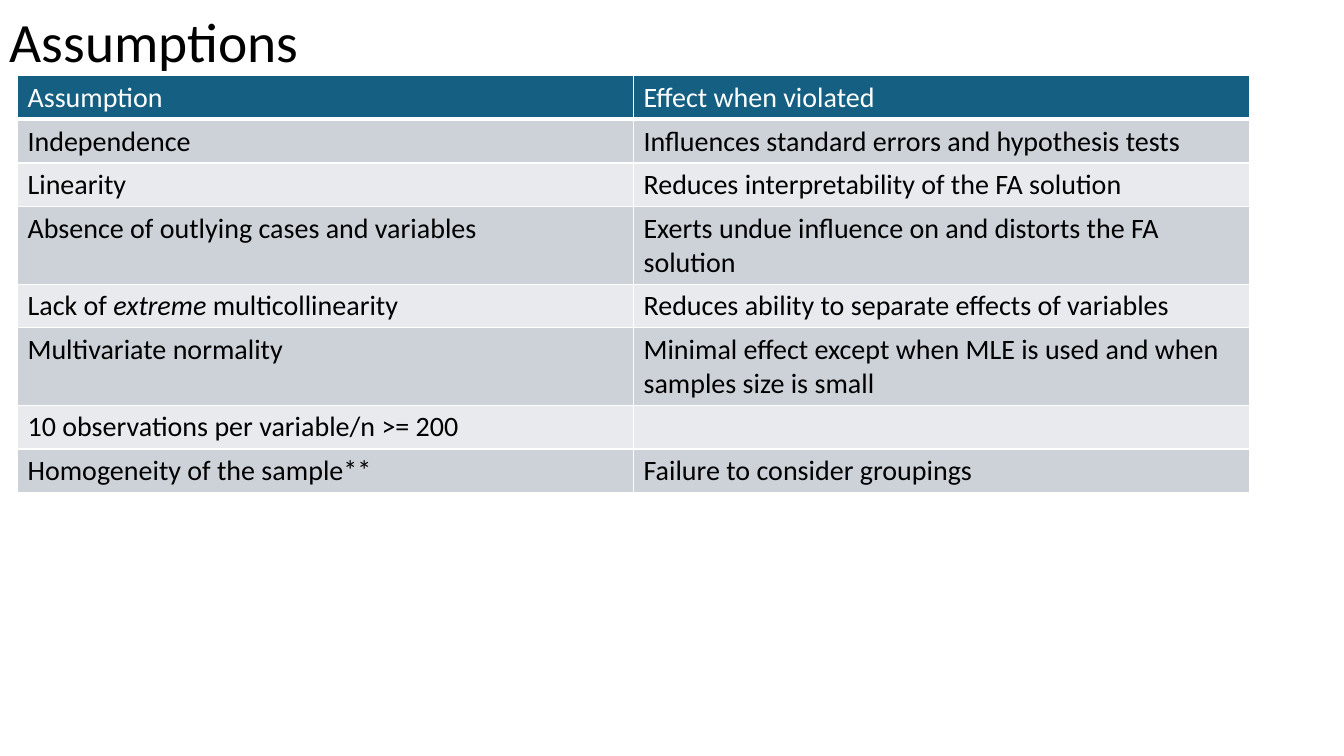
from dataclasses import dataclass

from lxml.etree import SubElement
from pptx import Presentation
from pptx.dml.color import RGBColor
from pptx.enum.text import MSO_ANCHOR
from pptx.oxml.ns import qn
from pptx.slide import Slide
from pptx.table import _Cell
from pptx.text.text import _Paragraph
from pptx.util import Pt

COLORS = {
    "text": "000000",
    "header text": "FFFFFF",
    "header": "156082",
    "dark band": "CCD2D8",
    "light band": "E8EAED",
    "border": "FFFFFF",
}
BORDER_WIDTH = 1
HEADER_RULE_WIDTH = 3
ROW_HEIGHT = 29.7
COLUMN_WIDTH = 440


@dataclass(frozen=True)
class Run:
    text: str
    italic: bool = False


@dataclass(frozen=True)
class AssumptionRow:
    assumption: tuple[Run, ...]
    effect: tuple[Run, ...] = ()


def plain(assumption: str, effect: str = "") -> AssumptionRow:
    """Return a row without emphasis; an empty effect gives an empty cell."""
    return AssumptionRow((Run(assumption),), (Run(effect),) if effect else ())


ROWS = (
    plain("Assumption", "Effect when violated"),
    plain("Independence", "Influences standard errors and hypothesis tests"),
    plain("Linearity", "Reduces interpretability of the FA solution"),
    plain("Absence of outlying cases and variables",
          "Exerts undue influence on and distorts the FA solution"),
    AssumptionRow(
        (Run("Lack of "), Run("extreme ", italic=True), Run("multicollinearity")),
        (Run("Reduces ability to separate effects of variables"),),
    ),
    plain("Multivariate normality",
          "Minimal effect except when MLE is used and when samples size is small"),
    plain("10 observations per variable/n >= 200"),
    plain("Homogeneity of the sample**", "Failure to consider groupings"),
)


def color(name: str) -> RGBColor:
    return RGBColor.from_string(COLORS[name])


def write_runs(paragraph: _Paragraph, runs: tuple[Run, ...], size: float,
               color_name: str) -> None:
    for item in runs:
        run = paragraph.add_run()
        run.text = item.text
        formats = {"name": "Calibri", "size": Pt(size), "bold": False,
                   "italic": item.italic}
        for attribute, value in formats.items():
            setattr(run.font, attribute, value)
        run.font.color.rgb = color(color_name)


def add_borders(cell: _Cell, bottom_width: float) -> None:
    properties = cell._tc.get_or_add_tcPr()
    for side in "LRTB":
        width = bottom_width if side == "B" else BORDER_WIDTH
        line = SubElement(properties, qn(f"a:ln{side}"), w=str(Pt(width)))
        fill = SubElement(line, qn("a:solidFill"))
        SubElement(fill, qn("a:srgbClr"), val=COLORS["border"])


def add_title(slide: Slide) -> None:
    title = slide.shapes.add_textbox(Pt(0), Pt(7.2), Pt(765.4), Pt(49.7))
    frame = title.text_frame
    for attribute, value in {"word_wrap": True,
                             "vertical_anchor": MSO_ANCHOR.MIDDLE}.items():
        setattr(frame, attribute, value)
    paragraph = frame.paragraphs[0]
    paragraph.line_spacing = 0.9
    write_runs(paragraph, (Run("Assumptions"),), 39.6, "text")


def add_assumptions_table(slide: Slide) -> None:
    table = slide.shapes.add_table(
        len(ROWS), 2, Pt(12.5), Pt(54), Pt(2 * COLUMN_WIDTH),
        Pt(ROW_HEIGHT * len(ROWS))).table
    table.horz_banding = False
    for row_index, row in enumerate(ROWS):
        is_header = row_index == 0
        band = "dark band" if row_index % 2 else "light band"
        for column_index, runs in enumerate((row.assumption, row.effect)):
            cell = table.cell(row_index, column_index)
            add_borders(cell, HEADER_RULE_WIDTH if is_header else BORDER_WIDTH)
            cell.fill.solid()
            cell.fill.fore_color.rgb = color("header" if is_header else band)
            write_runs(cell.text_frame.paragraphs[0], runs, 20,
                       "header text" if is_header else "text")


def main() -> None:
    presentation = Presentation()
    presentation.slide_width = Pt(960)
    presentation.slide_height = Pt(540)
    slide = presentation.slides.add_slide(presentation.slide_layouts[6])
    add_title(slide)
    add_assumptions_table(slide)
    presentation.save("out.pptx")


if __name__ == "__main__":
    main()
